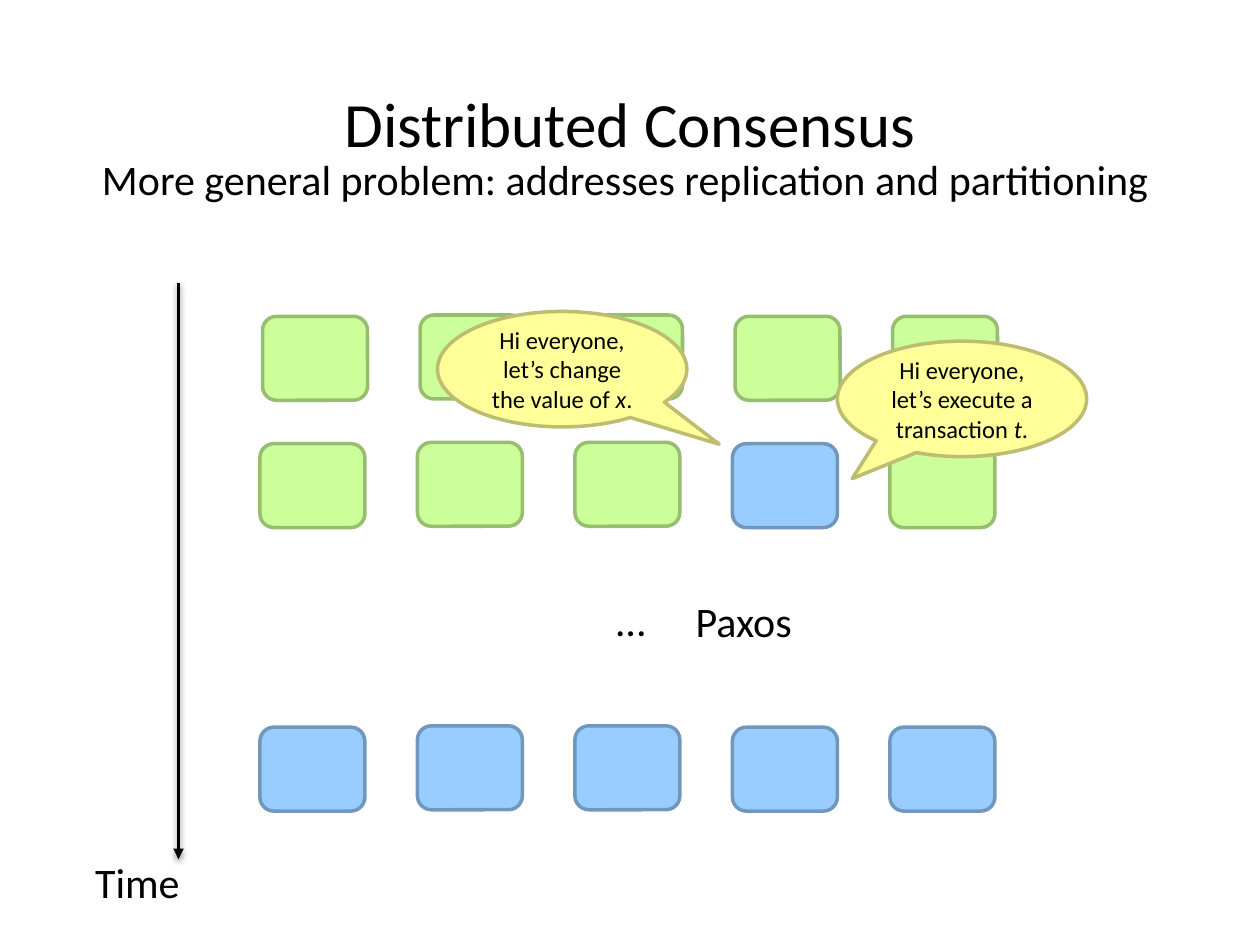
from dataclasses import dataclass

from lxml.etree import SubElement
from pptx import Presentation
from pptx.dml.color import RGBColor
from pptx.enum.shapes import MSO_CONNECTOR as Connector, MSO_SHAPE as Shape
from pptx.enum.text import MSO_ANCHOR as Anchor, MSO_AUTO_SIZE as AutoSize, PP_ALIGN as Align
from pptx.oxml import parse_xml
from pptx.oxml.ns import nsdecls, qn
from pptx.util import Pt


@dataclass(frozen=True)
class Theme:
    """Colours, as fill and outline pairs, and type sizes."""
    font: str = "Calibri"
    text: str = "000000"
    waiting: tuple = ("CCFF99", "97BD71")
    agreed: tuple = ("99CCFF", "7197BD")
    speech: tuple = ("FFFF99", "BDBD71")
    title_size: int = 36
    label_size: int = 24
    speech_size: int = 14
    line_width: int = 2


THEME = Theme()
NODE_COUNT = 5
NODE_STEP = 90
NODE_WIDTH, NODE_HEIGHT = 60, 48
RAISED_NODES = (1, 2)
NODE_DROP = 0.75


def points(*lengths):
    """Turn numbers into point lengths."""
    return [Pt(length) for length in lengths]


def style_paragraph(para, size):
    """Centre a paragraph and set its font."""
    para.alignment = Align.CENTER
    para.space_before = Pt(0)
    para.font.name = THEME.font
    para.font.size = Pt(size)
    para.font.color.rgb = RGBColor.from_string(THEME.text)


def style_shape(shape, colors):
    """Give a shape its fill and outline, without a shadow."""
    fill, outline = map(RGBColor.from_string, colors)
    shape.shadow.inherit = False
    shape.fill.solid()
    shape.fill.fore_color.rgb = fill
    shape.line.color.rgb = outline
    shape.line.width = Pt(THEME.line_width)


def fill_heading(placeholder, text, top, height, size, anchor):
    """Place a full-width heading and write its text."""
    placeholder.left, placeholder.top, placeholder.width, placeholder.height = points(0, top, 720, height)
    frame = placeholder.text_frame
    frame.text = text
    frame.auto_size = AutoSize.NONE
    frame.vertical_anchor = anchor
    style_paragraph(frame.paragraphs[0], size)


def add_label(page, text, left, top):
    """Add a centred label."""
    box = page.shapes.add_textbox(*points(left, top, 97, 36))
    frame = box.text_frame
    frame.word_wrap = True
    frame.text = text
    style_paragraph(frame.paragraphs[0], THEME.label_size)


def add_node_row(page, left, top, agreed):
    """Add a group of nodes, coloured by whether each has agreed."""
    row = page.shapes.add_group_shape()
    for index in range(NODE_COUNT):
        drop = 0 if index in RAISED_NODES else NODE_DROP
        node = row.shapes.add_shape(
            Shape.ROUNDED_RECTANGLE,
            *points(left + index * NODE_STEP, top + drop, NODE_WIDTH, NODE_HEIGHT))
        style_shape(node, THEME.agreed if index in agreed else THEME.waiting)


def add_time_arrow(page, left, top, bottom):
    """Add the downward time arrow with its soft shadow."""
    arrow = page.shapes.add_connector(Connector.STRAIGHT, *points(left, top, left, bottom))
    arrow.line.color.rgb = RGBColor.from_string(THEME.text)
    arrow.line.width = Pt(THEME.line_width)
    SubElement(arrow.line._get_or_add_ln(), qn("a:tailEnd"), type="triangle")
    arrow._element.spPr.append(parse_xml(
        f'<a:effectLst {nsdecls("a")}>'
        f'<a:outerShdw blurRad="{Pt(3.1)}" dist="{Pt(1.6)}" dir="5400000" rotWithShape="0">'
        f'<a:srgbClr val="{THEME.text}"><a:alpha val="38000"/></a:srgbClr>'
        '</a:outerShdw></a:effectLst>'))


def add_speech(page, left, top, tip, text, variable):
    """Add a speech bubble that ends with an italic variable."""
    bubble = page.shapes.add_shape(Shape.OVAL_CALLOUT, *points(left, top, 142.5, 66))
    bubble.adjustments[0], bubble.adjustments[1] = tip
    style_shape(bubble, THEME.speech)
    frame = bubble.text_frame
    frame.word_wrap = True
    frame.vertical_anchor = Anchor.MIDDLE
    para = frame.paragraphs[0]
    style_paragraph(para, THEME.speech_size)
    for words, italic in ((text, False), (variable, True), (".", False)):
        span = para.add_run()
        span.text = words
        span.font.italic = italic


def main():
    """Build the slide and save it."""
    deck = Presentation()
    deck.slide_width, deck.slide_height = points(720, 540)
    page = deck.slides.add_slide(deck.slide_layouts[0])
    title, subtitle = page.placeholders
    fill_heading(title, "Distributed Consensus", 43, 54, THEME.title_size, Anchor.MIDDLE)
    fill_heading(subtitle, "More general problem: addresses replication and partitioning ",
                 84, 36, THEME.label_size, Anchor.TOP)

    add_node_row(page, 150, 180, agreed=())
    add_time_arrow(page, 102, 161.5, 491)
    add_node_row(page, 148.5, 252.75, agreed=(3,))
    add_node_row(page, 148.5, 414.75, agreed=range(NODE_COUNT))

    add_label(page, "Time", 30, 486)
    add_label(page, "…", 312, 336)
    add_label(page, "Paxos", 376.5, 337)

    add_speech(page, 250, 178, (0.63, 0.65), "Hi everyone, let’s change the value of ", "x")
    add_speech(page, 478.5, 195, (-0.44, 0.69), "Hi everyone, let’s execute a transaction ", "t")
    deck.save("out.pptx")


if __name__ == "__main__":
    main()
